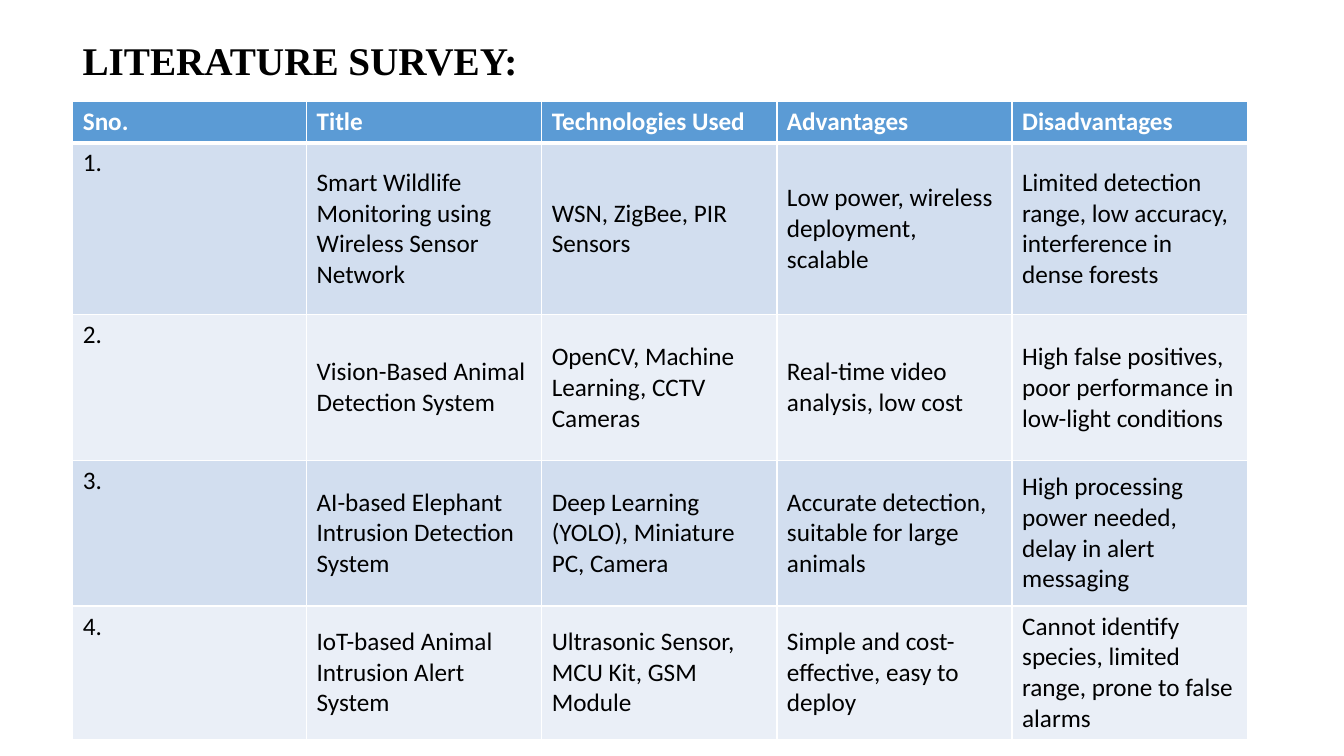
from pptx import Presentation
from pptx.dml.color import RGBColor
from pptx.enum.text import MSO_ANCHOR as Anchor, MSO_AUTO_SIZE as AutoSize
from pptx.oxml.ns import qn
from pptx.util import Pt
from lxml.etree import SubElement

COLORS = {"head": "5B9BD5", "odd": "D2DEEF", "even": "EAEFF7",
          "white": "FFFFFF", "black": "000000"}
COL_WIDTHS = [167, 168, 168, 168, 168]
ROW_HEIGHTS = [26.6, 123, 104, 104, 84]
SURVEY = [
    ("Sno.", "Title", "Technologies Used", "Advantages", "Disadvantages"),
    ("1.", "Smart Wildlife Monitoring using Wireless Sensor Network",
     "WSN, ZigBee, PIR Sensors",
     "Low power, wireless deployment, scalable",
     "Limited detection range, low accuracy, interference in dense forests"),
    ("2.", "Vision-Based Animal Detection System",
     "OpenCV, Machine Learning, CCTV Cameras",
     "Real-time video analysis, low cost",
     "High false positives, poor performance in low-light conditions"),
    ("3.", "AI-based Elephant Intrusion Detection System",
     "Deep Learning (YOLO), Miniature PC, Camera",
     "Accurate detection, suitable for large animals",
     "High processing power needed, delay in alert messaging"),
    ("4.", "IoT-based Animal Intrusion Alert System",
     "Ultrasonic Sensor, MCU Kit, GSM Module",
     "Simple and cost-effective, easy to deploy",
     "Cannot identify species, limited range, prone to false alarms"),
]


def rgb(name):
    return RGBColor.from_string(COLORS[name])


def set_font(p, name, size, color, bold):
    p.font.name, p.font.size, p.font.bold = name, Pt(size), bold
    p.font.color.rgb = rgb(color)


def set_borders(cell, widths):
    tc_pr = cell._tc.get_or_add_tcPr()
    for side, width in widths.items():
        ln = SubElement(tc_pr, qn(f"a:ln{side}"), w=str(Pt(width)))
        fill = SubElement(ln, qn("a:solidFill"))
        SubElement(fill, qn("a:srgbClr"), val=COLORS["white"])


def add_title(s, text, x, y, w, h):
    tf = s.shapes.add_textbox(Pt(x), Pt(y), Pt(w), Pt(h)).text_frame
    tf.word_wrap = True
    tf.auto_size = AutoSize.SHAPE_TO_FIT_TEXT
    p = tf.paragraphs[0]
    p.text = text
    set_font(p, "Times New Roman", 28, "black", True)


def add_survey_table(s, rows, x, y):
    table = s.shapes.add_table(len(rows), len(COL_WIDTHS), Pt(x), Pt(y),
                               Pt(sum(COL_WIDTHS)), Pt(sum(ROW_HEIGHTS))).table
    for column, width in zip(table.columns, COL_WIDTHS):
        column.width = Pt(width)
    for i, texts in enumerate(rows):
        table.rows[i].height = Pt(ROW_HEIGHTS[i])
        is_head = i == 0
        fill = "head" if is_head else "odd" if i % 2 else "even"
        for j, text in enumerate(texts):
            cell = table.cell(i, j)
            # The rule under the header is thicker than the others
            set_borders(cell, {"L": 1, "R": 1, "T": 3 if i == 1 else 1,
                               "B": 3 if is_head else 1})
            cell.fill.solid()
            cell.fill.fore_color.rgb = rgb(fill)
            cell.vertical_anchor = Anchor.MIDDLE if j else Anchor.TOP
            p = cell.text_frame.paragraphs[0]
            p.text = text
            set_font(p, "Calibri", 18, "white" if is_head else "black", is_head)


def main():
    prs = Presentation()
    prs.slide_width, prs.slide_height = Pt(960), Pt(540)
    s = prs.slides.add_slide(prs.slide_layouts[6])
    # Survey table
    add_survey_table(s, SURVEY, 52, 72.7)
    # Heading
    add_title(s, "LITERATURE SURVEY:", 52, 22.4, 338.4, 41)
    prs.save("out.pptx")


if __name__ == "__main__":
    main()
